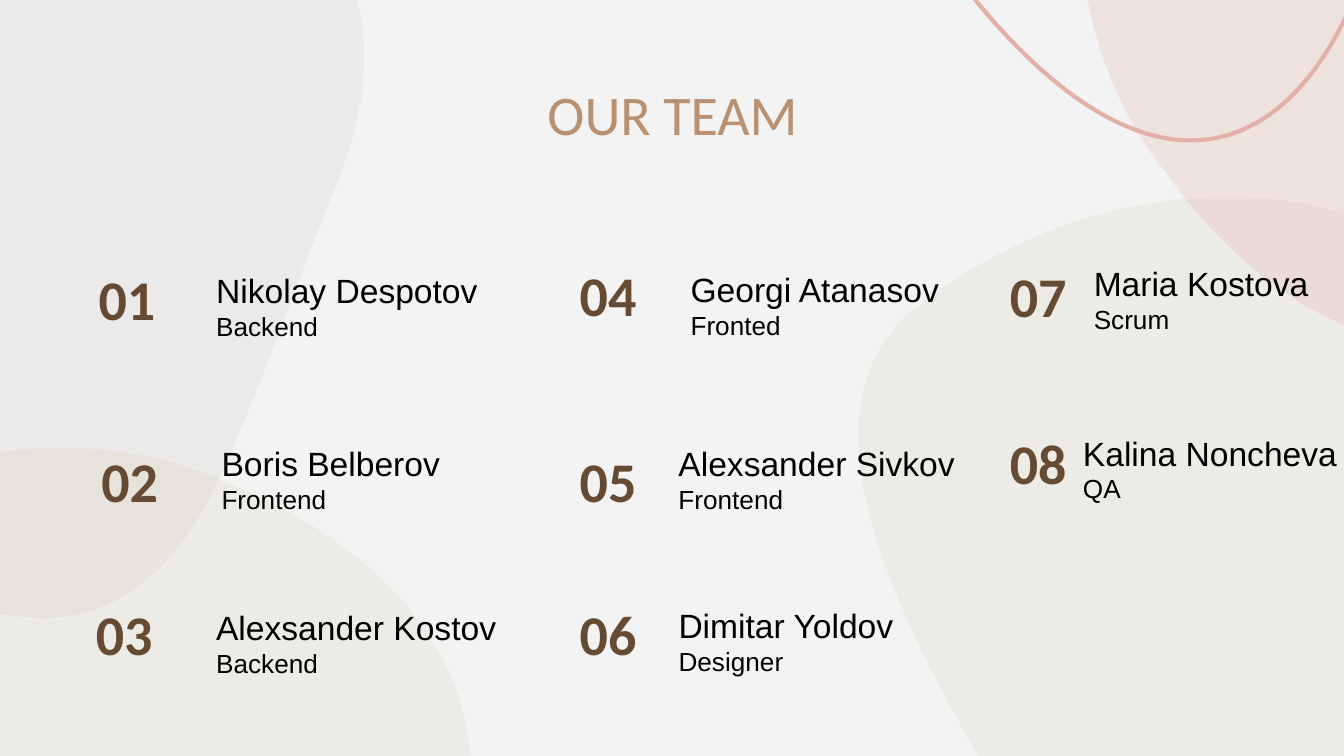
from lxml import etree
from pptx import Presentation
from pptx.dml.color import RGBColor
from pptx.enum.text import MSO_ANCHOR, MSO_AUTO_SIZE, PP_ALIGN
from pptx.oxml.ns import qn
from pptx.util import Pt

CENTER, LEFT = PP_ALIGN.CENTER, PP_ALIGN.LEFT
MIDDLE, TOP = MSO_ANCHOR.MIDDLE, MSO_ANCHOR.TOP
GROW, FIXED = MSO_AUTO_SIZE.SHAPE_TO_FIT_TEXT, MSO_AUTO_SIZE.NONE

THEME = {
    "background": "F3F3F3", "sand": "E7E2D6", "rose": "E2B0A6", "taupe": "887C62",
    "title": {"font": "Calibri", "size": 30, "color": "B79172", "bold": False},
    "number": {"font": "Calibri", "size": 30, "color": "664B34", "bold": True},
    "name": {"font": "Arial", "size": 18, "color": "000000", "bold": False},
    "role": {"font": "Arial", "size": 14, "color": "000000", "bold": False},
}

deck = Presentation()
deck.slide_width, deck.slide_height = Pt(720), Pt(405)
page = deck.slides.add_slide(deck.slide_layouts[6])
page.background.fill.solid()
page.background.fill.fore_color.rgb = RGBColor.from_string(THEME["background"])


def add_curve(frame, angle, points, color, opacity=None, mirrored=False):
    """Draw a Bezier outline given in percent of its width: filled, or a line if no opacity."""
    left, top, width, height = (Pt(value) for value in frame)
    builder = page.shapes.build_freeform(left, top)
    builder.add_line_segments([(left + width, top), (left + width, top + height),
                               (left, top + height)], close=True)
    shape = builder.convert_to_shape()
    shape.rotation = angle
    shape.shadow.inherit = False

    outline = shape._element.find(".//" + qn("a:path"))
    for child in list(outline):
        outline.remove(child)
    for index, (x, y) in enumerate(points):
        if index == 0:
            segment = etree.SubElement(outline, qn("a:moveTo"))
        elif index % 3 == 1:
            segment = etree.SubElement(outline, qn("a:cubicBezTo"))
        across = 100 - x if mirrored else x
        etree.SubElement(segment, qn("a:pt"), x=str(round(across * width / 100)),
                         y=str(round(y * width / 100)))

    if opacity is None:
        shape.fill.background()
        shape.line.color.rgb = RGBColor.from_string(color)
        shape.line.width = Pt(2.25)
        return
    etree.SubElement(outline, qn("a:close"))
    shape.line.fill.background()
    shape.fill.solid()
    shape.fill.fore_color.rgb = RGBColor.from_string(color)
    tint = shape._element.spPr.find(qn("a:solidFill"))[0]
    etree.SubElement(tint, qn("a:alpha"), val=str(opacity * 1000))


def add_text(frame, lines, frame_format, align=LEFT):
    """Add a text box with one paragraph for each (text, style name) line."""
    box = page.shapes.add_textbox(*(Pt(value) for value in frame))
    for attribute, value in frame_format.items():
        setattr(box.text_frame, attribute, value)
    for index, (text, style_name) in enumerate(lines):
        para = box.text_frame.paragraphs[0] if index == 0 else box.text_frame.add_paragraph()
        para.alignment = align
        span = para.add_run()
        span.text = text
        style = THEME[style_name]
        for attribute, value in {"name": style["font"], "size": Pt(style["size"]),
                                 "bold": style["bold"]}.items():
            setattr(span.font, attribute, value)
        span.font.color.rgb = RGBColor.from_string(style["color"])


# Outlines: a start, then two control points and an end for each segment
BLOB = [(37.1, 0), (41.1, 0), (45.3, 1), (49.6, 3.7),
        (75, 20), (80, 34), (99.4, 38.7),
        (100, 55), (72, 64), (60.3, 60.1),
        (51, 57), (3, 63.9), (1.5, 43.2),
        (0, 22.7), (13, 12.1), (13, 12.1),
        (13, 12.1), (23.6, 0), (37.1, 0)]
WAVE = [(0, 0), (0, 0), (12.1, 18.3), (20.7, 21.3),
        (30.9, 25), (48, 9.2), (67.6, 22.9),
        (87.3, 36.8), (98.2, 30), (99.9, 12.9)]
PEBBLE = [(53.6, 87.9), (63.4, 88.8), (76.5, 88.4), (80.3, 87),
          (89, 84.2), (92.6, 76), (94.1, 67.5),
          (96.1, 56.9), (97, 46.2), (98.6, 35.6),
          (100, 26.3), (99.2, 15.9), (91, 9.9),
          (75, -6), (10, -6), (0.7, 62.4),
          (0, 75.9), (30.7, 85.7), (53.6, 87.9)]

add_curve((396.7, 180, 685.4, 437.8), 56.6, BLOB, THEME["sand"], 46)
add_curve((563, -178.6, 588.2, 375.8), 188.6, BLOB, THEME["rose"], 25, mirrored=True)
add_curve((115.2, -172.8, 616.3, 226.8), 15.9, WAVE, THEME["rose"])
add_curve((-198, 317.5, 588.2, 375.8), 68.4, BLOB, THEME["sand"], 46)
add_curve((-321.1, -137.5, 504, 447.8), 13.6, PEBBLE, THEME["taupe"], 7)

HEADING = {"word_wrap": True, "auto_size": FIXED, "vertical_anchor": MIDDLE,
           "margin_top": Pt(7.2), "margin_bottom": Pt(7.2)}
MEMBER = {"word_wrap": False, "auto_size": GROW, "vertical_anchor": TOP}

add_text((56.9, 34.6, 607, 51.8), [("OUR TEAM", "title")], HEADING, CENTER)

# Number left and top, name left, top and width, then name and role
TEAM = [
    (36.7, 141.8, 108.7, 141.1, 156, "Nikolay Despotov", "Backend"),
    (38.2, 239.8, 111.6, 234, 132, "Boris Belberov", "Frontend"),
    (35.3, 321.8, 108.7, 321.8, 166, "Alexsander Kostov", "Backend"),
    (294.5, 139.7, 362.9, 140.4, 155, "Georgi Atanasov", "Fronted"),
    (294.5, 239.8, 356.4, 234, 164, "Alexsander Sivkov", "Frontend"),
    (294.5, 321.8, 356.4, 320.4, 132, "Dimitar Yoldov", "Designer"),
    (524.9, 140.4, 578.9, 137.5, 130, "Maria Kostova", "Scrum"),
    (524.9, 229.7, 573.1, 228.2, 152, "Kalina Noncheva", "QA"),
]
for number, (number_left, number_top, left, top, width, name, role) in enumerate(TEAM, start=1):
    add_text((number_left, number_top, 62.6, 35.3), [(f"{number:02}", "number")],
             HEADING, CENTER)
    add_text((left, top, width, 46.1), [(name, "name"), (role, "role")], MEMBER)

deck.save("out.pptx")
